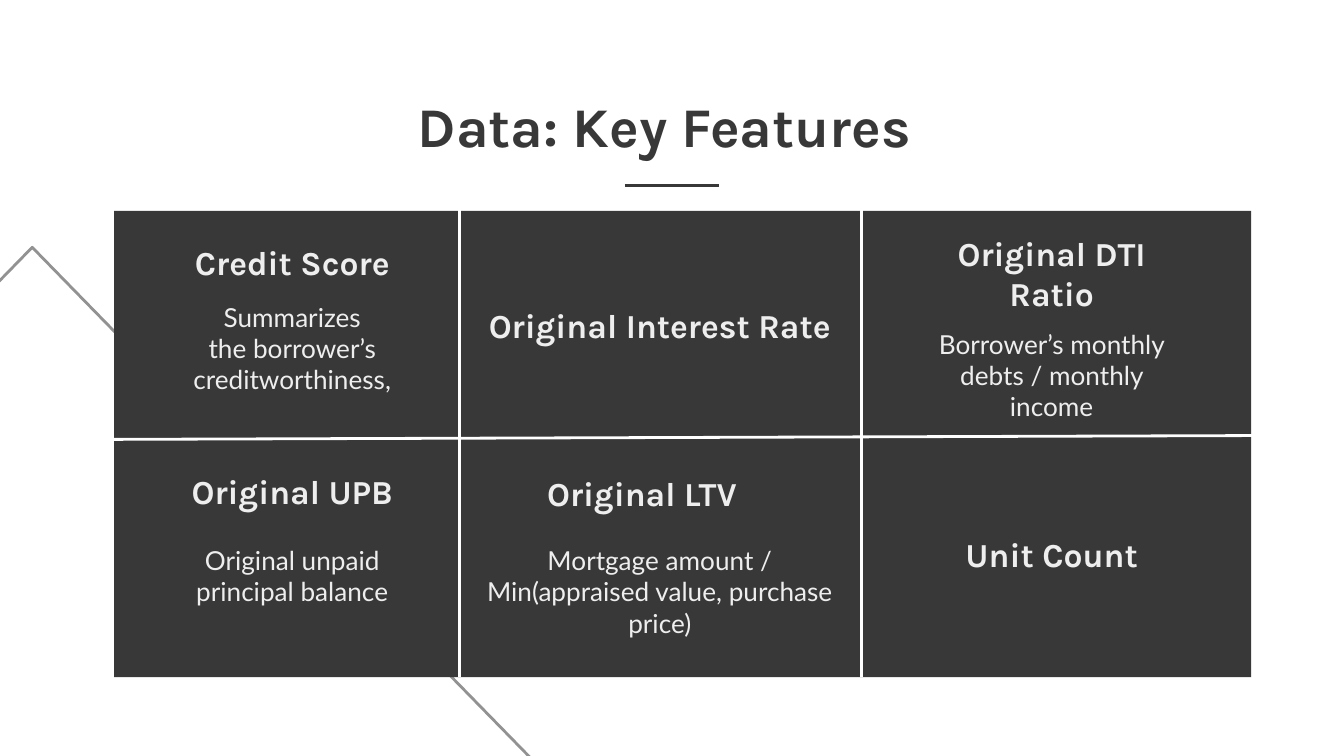
from dataclasses import dataclass

from lxml import etree
from pptx import Presentation
from pptx.dml.color import RGBColor
from pptx.enum import shapes, text
from pptx.oxml.ns import qn
from pptx.util import Pt


@dataclass(frozen=True)
class Theme:
    """Colours, fonts and type sizes of the slide."""
    dark: RGBColor = RGBColor(0x38, 0x38, 0x38)
    pale: RGBColor = RGBColor(0xEE, 0xEE, 0xEE)
    white: RGBColor = RGBColor(0xFF, 0xFF, 0xFF)
    grey: RGBColor = RGBColor(0x92, 0x92, 0x92)
    head: str = "Karla"
    body: str = "Lato"
    title: int = 30
    label: int = 18
    note: int = 14
    rule: float = 1.5


THEME = Theme()
COLUMNS = [(21.6, 147.6), (185, 214.6), (428.4, 147.6)]
FEATURES = [
    (0, 11.6, 0, "Credit Score", 41, ["Summarizes", "the borrower’s creditworthiness,"]),
    (1, 45.4, 0, "Original Interest Rate", 0, []),
    (2, 17.3, 0, "Original DTI Ratio", 55.5, ["Borrower’s monthly debts / monthly income"]),
    (0, 134, 0, "Original UPB", 171.4, ["Original unpaid principal balance"]),
    (1, 135.4, -9.6, "Original LTV", 171.4,
     ["Mortgage amount /", "Min(appraised value, purchase price)"]),
    (2, 167.8, 0, "Unit Count", 0, []),
]


def add_text(slide, box, lines, font, size, color, bold=False, middle=False):
    """Place centred paragraphs in a wrapping text box."""
    frame = slide.shapes.add_textbox(*map(Pt, box)).text_frame
    frame.word_wrap = True
    frame.margin_left = frame.margin_right = Pt(7.2)
    frame.margin_top = frame.margin_bottom = Pt(7.2)
    frame.vertical_anchor = text.MSO_ANCHOR.MIDDLE if middle else text.MSO_ANCHOR.TOP
    frame.text = "\n".join(lines)
    for para in frame.paragraphs:
        para.alignment = text.PP_ALIGN.CENTER
        para.font.name, para.font.size = font, Pt(size)
        para.font.bold, para.font.color.rgb = bold, color


def add_line(slide, start, end, color):
    """Draw a straight rule without a shadow."""
    line = slide.shapes.add_connector(
        shapes.MSO_CONNECTOR.STRAIGHT, *map(Pt, (*start, *end)))
    line.line.color.rgb, line.line.width = color, Pt(THEME.rule)
    etree.SubElement(line._element.spPr, qn("a:effectLst"))


def add_peak(slide, box):
    """Draw the outlined triangle behind the panel."""
    peak = slide.shapes.add_shape(
        shapes.MSO_SHAPE.ISOSCELES_TRIANGLE, *map(Pt, box))
    peak.shadow.inherit = False
    peak.fill.background()
    peak.line.color.rgb, peak.line.width = THEME.grey, Pt(THEME.rule)


def add_header(slide, box):
    """Place the slide title and the short rule under it."""
    left, top, width, height = box
    add_text(slide, box, ["Data: Key Features"], THEME.head, THEME.title,
             THEME.dark, bold=True)
    rule = left + width / 2 - 21.2
    add_line(slide, (rule, top + 57.6), (rule + 50.4, top + 57.6), THEME.dark)


def add_panel(slide, box):
    """Build the dark panel with its features and dividers."""
    left, top, width, height = box
    panel = slide.shapes.add_shape(shapes.MSO_SHAPE.RECTANGLE, *map(Pt, box))
    panel.shadow.inherit = False
    panel.fill.solid()
    panel.fill.fore_color.rgb = THEME.dark
    panel.line.fill.background()
    for col, head, shift, name, body, notes in FEATURES:
        inset, span = COLUMNS[col]
        add_text(slide, (left + inset + shift, top + head, span, 31.7), [name],
                 THEME.head, THEME.label, THEME.pale, bold=True, middle=True)
        if notes:
            add_text(slide, (left + inset, top + body, span, 41.8), notes,
                     THEME.body, THEME.note, THEME.pale)
    for gap in (185, 400.3):
        add_line(slide, (left + gap, top - 5), (left + gap, top + height), THEME.white)
    add_line(slide, (left, top + 122.4), (left + 625.7, top + 120.3), THEME.white)


def main():
    """Build and save the slide."""
    deck = Presentation()
    deck.slide_width, deck.slide_height = Pt(720), Pt(405)
    slide = deck.slides.add_slide(deck.slide_layouts[6])
    add_peak(slide, (-274.3, 132.5, 583.2, 298.8))
    add_panel(slide, (61.2, 113, 609.1, 249.8))
    add_header(slide, (151.5, 41.8, 409, 41.8))
    deck.save("out.pptx")


if __name__ == "__main__":
    main()
